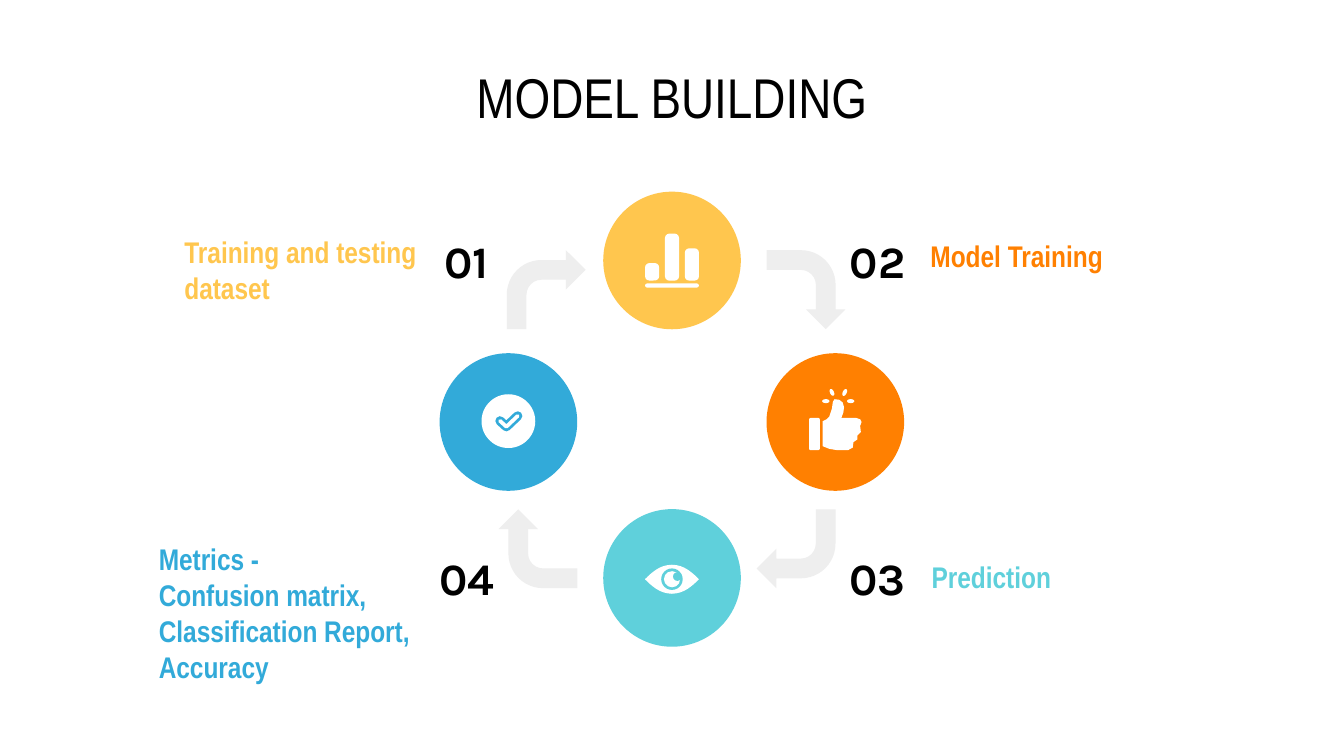
import math
from pptx import Presentation, util as u
from pptx.dml.color import RGBColor
from pptx.enum import shapes, text
from pptx.oxml import ns

COLORS = {"yellow": "FFC64E", "orange": "FF8001", "teal": "5FD0DB", "blue": "32AAD9",
          "gray": "EEEEEE", "white": "FFFFFF", "black": "000000"}
KIND = shapes.MSO_SHAPE
LEFT, CENTER, RIGHT = text.PP_ALIGN.LEFT, text.PP_ALIGN.CENTER, text.PP_ALIGN.RIGHT

deck = Presentation()
deck.slide_width = u.Inches(10)
deck.slide_height = deck.slide_width * 9 // 16
page = deck.slides.add_slide(deck.slide_layouts[5])
CELL = deck.slide_width / 100  # the grid has 100 columns of square cells


def write(box, words, place, size, color, font="Arial Narrow", bold=True, align=LEFT, inset=1):
    box.left, box.top, box.width, box.height = [round(v * CELL) for v in place]
    frame = box.text_frame
    frame.word_wrap = True
    frame.auto_size = text.MSO_AUTO_SIZE.NONE
    frame.vertical_anchor = text.MSO_ANCHOR.MIDDLE
    frame.margin_left = frame.margin_right = round(inset * CELL)
    frame.margin_top = frame.margin_bottom = round(inset * CELL)
    frame.text = words
    for para in frame.paragraphs:
        para.alignment = align
        for span in para.runs:
            span.font.size, span.font.name, span.font.bold = u.Pt(size), font, bold
            span.font.color.rgb = RGBColor.from_string(COLORS[color])


def draw(kind, center, middle, width, height, color, rotation=0, adjust=()):
    place = (center - width / 2, middle - height / 2, width, height)
    shape = page.shapes.add_shape(kind, *[round(v * CELL) for v in place])
    shape.shadow.inherit = False
    shape.fill.solid()
    shape.fill.fore_color.rgb = RGBColor.from_string(COLORS[color])
    shape.line.fill.background()
    shape.rotation = rotation
    for index, value in enumerate(adjust):
        shape.adjustments[index] = value


# Title
write(page.shapes.title, "MODEL BUILDING", (5, 4.5, 90, 5.3), 30, "black", bold=False, align=CENTER)

# Ring of step circles
for center, middle, color in [(50, 43, "teal"), (37.83, 31.4, "blue"),
                              (62.15, 31.4, "orange"), (50, 19.38, "yellow")]:
    draw(KIND.ROUNDED_RECTANGLE, center, middle, 10.24, 10.24, color, adjust=[0.5])

# Arrows around the ring, each a quarter turn on
for turn, (center, middle) in enumerate([(40.64, 21.55), (59.97, 21.55),
                                         (59.23, 40.83), (40.03, 40.83)]):
    draw(KIND.BENT_ARROW, center, middle, 5.87, 5.87, "gray", 90 * turn, [0.25, 0.25, 0.25, 0.44])

# Step labels
for words, place, color, align in [
        ("Training and testing dataset", (12.74, 18.5, 21.6, 3.1), "yellow", LEFT),
        ("Model Training", (61.45, 17.5, 21.6, 3.1), "orange", RIGHT),
        ("Prediction", (57.6, 41.35, 21.6, 3.1), "teal", RIGHT),
        ("Metrics -\nConfusion matrix, Classification Report, Accuracy",
         (10.83, 44.04, 29.2, 3.1), "blue", LEFT)]:
    write(page.shapes.add_textbox(0, 0, 0, 0), words, place, 16, color, align=align)

# Step numbers
for number, left, top in [("01", 31.62, 17.4), ("02", 62.2, 17.4),
                          ("03", 62.2, 41), ("04", 31.62, 41)]:
    write(page.shapes.add_textbox(0, 0, 0, 0), number, (left, top, 6.2, 4), 24, "black",
          font="Karla", align=CENTER, inset=0)

# Bar chart icon: three bars on a base line
for center, height in [(48.52, 1.3), (50, 3.5), (51.48, 2.4)]:
    draw(KIND.ROUNDED_RECTANGLE, center, 20.88 - height / 2, 1.05, height, "white", adjust=[0.3])
draw(KIND.ROUNDED_RECTANGLE, 50, 21.25, 4, 0.3, "white", adjust=[0.5])

# Thumb icon: cuff and four sparks
draw(KIND.ROUNDED_RECTANGLE, 60.6, 32.3, 0.8, 2.4, "white", adjust=[0.15])
for center, middle, rotation in [(61.45, 29.85, 0), (61.9, 29.2, 65),
                                 (62.85, 29.2, 115), (63.3, 29.85, 0)]:
    draw(KIND.OVAL, center, middle, 0.55, 0.3, "white", rotation)

# Curved outlines: hand and eye
hand = [(62.1, 29.7), (61.97, 29.9), (61.9, 30.4), (61.7, 31), (61.5, 31.2), (61.2, 31.35),
        (61.2, 33.2), (61.7, 33.4), (62.3, 33.5), (63.1, 33.5), (63.45, 33.3), (63.5, 32.9),
        (63.8, 32.7), (63.8, 32.4), (64.05, 32.15), (64, 31.7), (64.1, 31.4), (64, 31.2),
        (63.7, 31.1), (62.6, 31.1), (62.75, 30.7), (62.8, 30.3), (62.7, 29.95), (62.45, 29.75)]
turns = [math.pi * step / 20 for step in range(21)]
lid = [(50 - 2 * math.cos(turn), 43.1 - 1.08 * math.sin(turn) ** 2) for turn in turns]
eye = lid + [(x, 86.2 - y) for x, y in reversed(lid)]
for outline in (hand, eye):
    points = [(x * 100, y * 100) for x, y in outline]
    builder = page.shapes.build_freeform(*points[0], scale=CELL / 100)
    builder.add_line_segments(points[1:])
    shape = builder.convert_to_shape()
    shape.shadow.inherit = False
    shape.fill.solid()
    shape.fill.fore_color.rgb = RGBColor.from_string(COLORS["white"])
    shape.line.fill.background()

# Iris, pupil and glint of the eye
for center, middle, size, color in [(50, 43.1, 1.6, "teal"), (50, 43.1, 1.2, "white"),
                                    (50.4, 42.9, 0.65, "teal")]:
    draw(KIND.OVAL, center, middle, size, size, color)

# Check icon: a wide blue stroke with a thin white one inside
draw(KIND.OVAL, 37.83, 31.34, 4, 4, "white")
for color, width in [("blue", 5), ("white", 2)]:
    builder = page.shapes.build_freeform(3720, 3132, scale=CELL / 100)
    builder.add_line_segments([(3768, 3175), (3852, 3095)], close=False)
    stroke = builder.convert_to_shape()
    stroke.shadow.inherit = False
    stroke.fill.background()
    stroke.line.color.rgb = RGBColor.from_string(COLORS[color])
    stroke.line.width = u.Pt(width)
    stroke.element.spPr.find(ns.qn("a:ln")).set("cap", "rnd")

deck.save("out.pptx")
